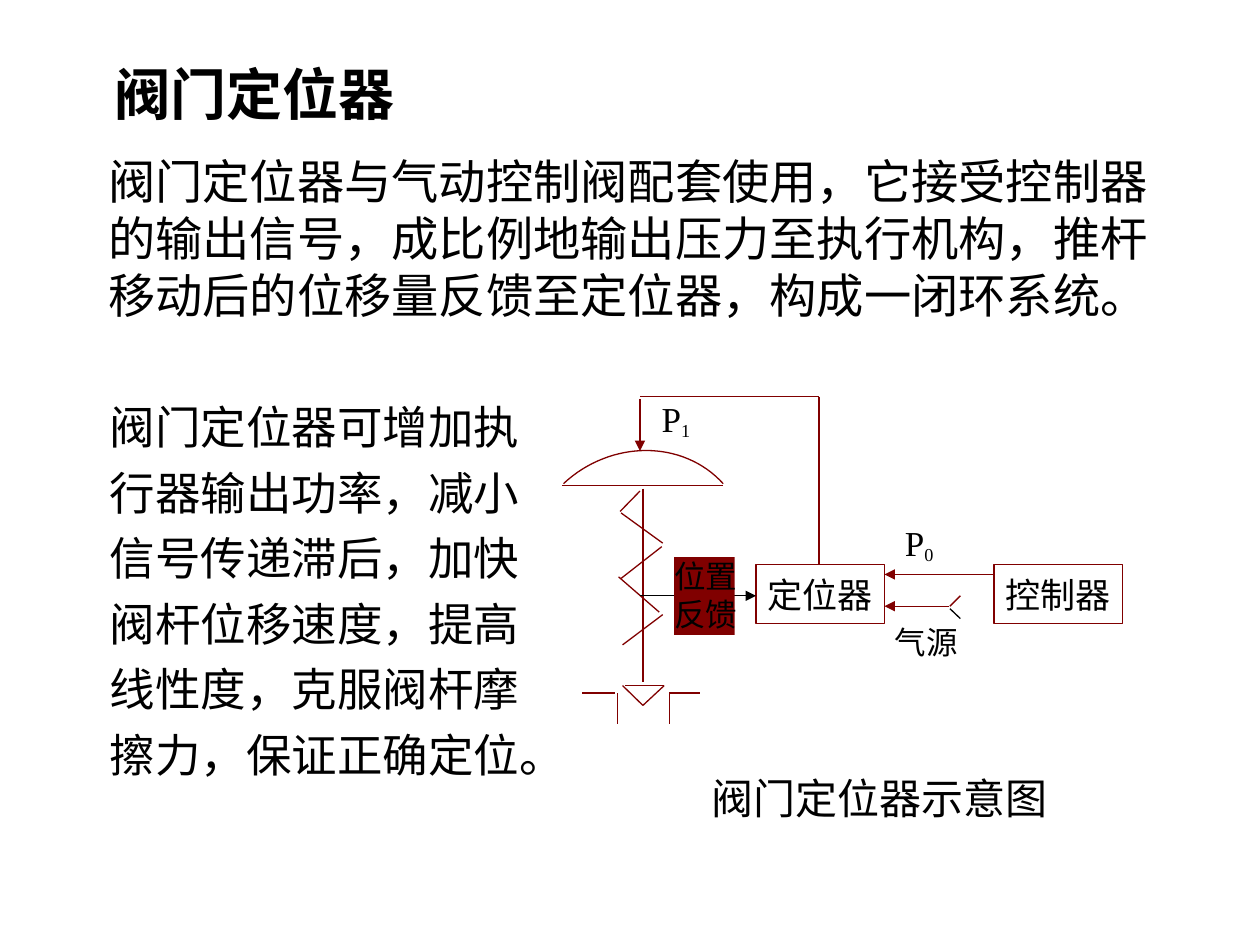
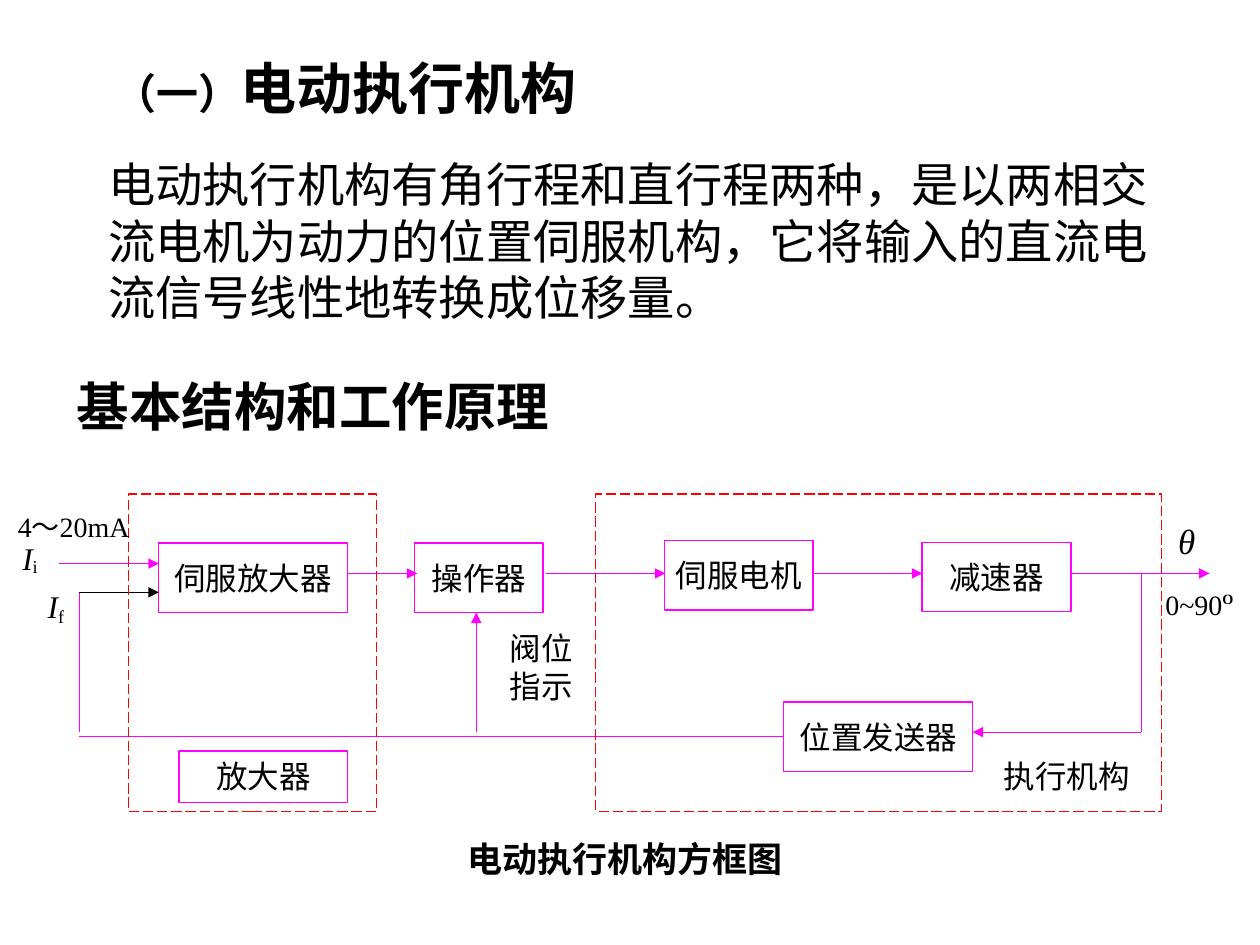
from lxml.etree import SubElement
from pptx import Presentation
from pptx.dml.color import RGBColor
from pptx.enum.dml import MSO_LINE
from pptx.enum.shapes import MSO_CONNECTOR, MSO_SHAPE
from pptx.enum.text import MSO_ANCHOR, MSO_AUTO_SIZE, PP_ALIGN
from pptx.oxml.ns import qn
from pptx.util import Cm, Pt

BLACK, MAROON, MAGENTA, RED = "000000", "800000", "FF00FF", "FF0000"
SANS, SERIF, CJK = "Arial", "Times New Roman", "Noto Sans CJK SC"
LEFT, CENTER = PP_ALIGN.LEFT, PP_ALIGN.CENTER
TOP, MIDDLE = MSO_ANCHOR.TOP, MSO_ANCHOR.MIDDLE
PADDED, TIGHT, FLUSH = (0.25, 0.13), (0, 0), (0, 0.13)
TITLE = {"size": 32, "bold": True}


def rgb(value):
    return RGBColor.from_string(value)


def add_run(p, text, size=18, name=SANS, base=0, **fmt):
    r = p.add_run()
    r.text = text
    values = {"size": Pt(size), "name": name, **fmt}
    for key, value in values.items():
        setattr(r.font, key, value)
    r.font.color.rgb = rgb(BLACK)
    rpr = r._r.get_or_add_rPr()
    if base:
        rpr.set("baseline", str(base * 1000))
    latin = rpr.find(qn("a:latin"))
    ea = rpr.makeelement(qn("a:ea"), {"typeface": CJK})
    latin.addnext(ea)


def write(sp, paragraphs, align=LEFT, anchor=TOP, inset=PADDED, wrap=True,
          leading=1.2):
    """Each paragraph is a list of (text, format) runs."""
    tf = sp.text_frame
    values = {"word_wrap": wrap, "auto_size": MSO_AUTO_SIZE.NONE,
              "vertical_anchor": anchor,
              "margin_left": Cm(inset[0]), "margin_right": Cm(inset[0]),
              "margin_top": Cm(inset[1]), "margin_bottom": Cm(inset[1])}
    for key, value in values.items():
        setattr(tf, key, value)
    for i, runs in enumerate(paragraphs):
        p = tf.add_paragraph() if i else tf.paragraphs[0]
        p.alignment = align
        p.space_before = Pt(0)
        p.line_spacing = Pt(leading * max(f.get("size", 18) for _, f in runs))
        for text, fmt in runs:
            add_run(p, text, **fmt)


def add_title(s, box, runs, wrap=True):
    sp = s.shapes.title
    for key, value in zip(("left", "top", "width", "height"), box):
        setattr(sp, key, Cm(value))
    write(sp, [runs], wrap=wrap)


def add_text(s, box, paragraphs, **layout):
    sp = s.shapes.add_textbox(*map(Cm, box))
    write(sp, paragraphs, **layout)


def style_line(sp, color, dash=None):
    sp.line.color.rgb = rgb(color)
    sp.line.width = Pt(0.75)
    if dash:
        sp.line.dash_style = dash


def add_box(s, box, line=None, fill=None, dash=None):
    sp = s.shapes.add_shape(MSO_SHAPE.RECTANGLE, *map(Cm, box))
    sp.shadow.inherit = False
    if fill:
        sp.fill.solid()
        sp.fill.fore_color.rgb = rgb(fill)
    else:
        sp.fill.background()
    if line:
        style_line(sp, line, dash)
    else:
        sp.line.fill.background()
    return sp


def add_line(s, start, end, color, arrow=False):
    sp = s.shapes.add_connector(MSO_CONNECTOR.STRAIGHT,
                                *map(Cm, (*start, *end)))
    style_line(sp, color)
    if arrow:
        SubElement(sp.line._get_or_add_ln(), qn("a:tailEnd"), type="triangle")
    SubElement(sp._element.spPr, qn("a:effectLst"))


def shifter(left, top):
    """Return a function that moves a point or box into the diagram."""
    return lambda x, y, *size: (left + x, top + y, *size)


def symbol(letter, sub, base, size=18, **fmt):
    return [[(letter, {"size": size, "name": SERIF, **fmt}),
             (sub, {"size": 18, "name": SERIF, "base": base})]]


def add_dome(s, at):
    # Diaphragm: a cubic curve above a flat base
    curve = [(0.03, 1.75), (0.99, 0.86), (2.44, 0.86), (3.25, 1.75)]
    points, steps = [], 32
    for i in range(steps + 1):
        t = i / steps
        weights = ((1 - t) ** 3, 3 * t * (1 - t) ** 2,
                   3 * t * t * (1 - t), t ** 3)
        x, y = (sum(w * c[k] for w, c in zip(weights, curve)) for k in (0, 1))
        points.append(tuple(map(Cm, at(x, y))))
    builder = s.shapes.build_freeform(*points[0])
    builder.add_line_segments(points[1:], close=False)
    sp = builder.convert_to_shape()
    sp.shadow.inherit = False
    sp.fill.background()
    style_line(sp, MAROON)


def positioner_diagram(s, left, top):
    at = shifter(left, top)
    # Positioner and controller
    for x, text in ((3.91, "定位器"), (8.71, "控制器")):
        sp = add_box(s, at(x, 3.38, 2.59, 1.19), MAROON)
        write(sp, [[(text, {"size": 20})]], CENTER, MIDDLE, TIGHT, False)
    add_dome(s, at)
    # Diaphragm base, stem, spring, plug, seat, pressure pipe, air supply
    plain = [
        ((0, 1.78), (3.25, 1.78)),
        ((1.63, 1.85), (1.63, 5.74)),
        ((1.57, 1.9), (1.17, 2.31)),
        ((1.19, 2.34), (2.03, 2.95)),
        ((2.01, 3.02), (1.19, 3.66)),
        ((1.14, 3.63), (1.96, 4.34)),
        ((2.03, 4.39), (1.22, 5)),
        ((1.27, 5.82), (2.06, 5.82)),
        ((1.22, 5.82), (1.63, 6.22)),
        ((2.06, 5.82), (1.63, 6.22)),
        ((0.41, 5.97), (1.07, 5.97)),
        ((1.12, 5.97), (1.12, 6.6)),
        ((2.16, 5.97), (2.79, 5.97)),
        ((2.16, 5.97), (2.16, 6.6)),
        ((1.57, 0), (5.18, 0)),
        ((5.18, 0), (5.18, 3.38)),
        ((8.03, 4.01), (7.82, 4.22)),
    ]
    for start, end in plain:
        add_line(s, at(*start), at(*end), MAROON)
    add_line(s, at(8.03, 4.47), at(7.82, 4.27), BLACK)
    # Signal arrows
    arrows = [
        ((8.71, 3.58), (6.5, 3.58), MAROON),
        ((7.8, 4.22), (6.5, 4.22), MAROON),
        ((1.57, 0.05), (1.57, 1.09), MAROON),
        ((1.57, 4.01), (3.91, 4.01), BLACK),
    ]
    for start, end, color in arrows:
        add_line(s, at(*start), at(*end), color, arrow=True)
    # Labels
    serif = {"name": SERIF}
    feedback = add_box(s, at(2.26, 3.23, 1.22, 1.57), fill=MAROON)
    write(feedback, [[("位置", serif)], [("反馈", serif)]],
          inset=TIGHT, wrap=False)
    labels = [
        ((6.91, 2.54, 0.91, 0.84), symbol("P", "0", -16, 20)),
        ((2.01, 0.05, 0.64, 0.84), symbol("P", "1", -16, 20)),
        ((6.71, 4.55, 1.42, 0.79), [[("气源", serif)]]),
    ]
    for box, paragraphs in labels:
        add_text(s, at(*box), paragraphs, inset=TIGHT, wrap=False)


def actuator_diagram(s, left, top):
    at = shifter(left, top)
    # Blocks
    blocks = [
        ("伺服放大器", 3.2, 0.99, 3.81),
        ("位置发送器", 15.8, 4.19, 3.81),
        ("伺服电机", 13.39, 0.94, 3),
        ("操作器", 8.36, 0.99, 2.59),
        ("减速器", 18.59, 0.97, 3),
    ]
    for text, x, y, width in blocks:
        sp = add_box(s, at(x, y, width, 1.4), MAGENTA)
        write(sp, [[(text, {})]], CENTER, MIDDLE, FLUSH, False)
    # Forward path, then feedback path
    lines = [
        ((7.01, 1.6), (8.41, 1.6), MAGENTA, True),
        ((11, 1.6), (13.41, 1.6), MAGENTA, True),
        ((16.41, 1.6), (18.59, 1.6), MAGENTA, True),
        ((21.59, 1.6), (24.38, 1.6), MAGENTA, True),
        ((1.19, 1.4), (3.2, 1.4), MAGENTA, True),
        ((23.01, 1.6), (23.01, 4.8), MAGENTA, False),
        ((23.01, 4.8), (19.61, 4.8), MAGENTA, True),
        ((15.8, 4.88), (1.6, 4.88), MAGENTA, False),
        ((9.6, 4.8), (9.6, 2.39), MAGENTA, True),
        ((1.6, 4.8), (1.6, 1.98), MAGENTA, False),
        ((1.6, 1.98), (3.2, 1.98), BLACK, True),
    ]
    for start, end, color, arrow in lines:
        add_line(s, at(*start), at(*end), color, arrow)
    # Dashed groups and their names
    for x, width in ((2.59, 5), (12.01, 11.4)):
        add_box(s, at(x, 0, width, 6.4), RED, dash=MSO_LINE.LONG_DASH)
    sp = add_box(s, at(3.61, 5.18, 3.4, 1.04), MAGENTA)
    write(sp, [[("放大器", {})]], CENTER)
    add_text(s, at(19.81, 5.18, 3.4, 1.02), [[("执行机构", {})]], align=CENTER)
    add_text(s, at(10.01, 2.59, 1.8, 1.8), [[("阀位", {})], [("指示", {})]],
             align=CENTER, anchor=MIDDLE, inset=FLUSH, wrap=False)
    # Signals
    small = {"size": 16, "name": SERIF}
    add_text(s, at(0, 0.18, 2.97, 0.94), [[("4～20mA", small)]], align=CENTER)
    add_text(s, at(0.2, 0.79, 0.99, 1.02), symbol("I", "i", -10, italic=True))
    add_text(s, at(0.71, 1.8, 0.99, 1.02), symbol("I", "f", -16, italic=True))
    add_text(s, at(23.5, 0.38, 0.99, 1.09),
             [[("θ", {"size": 20, "name": SERIF, "italic": True})]])
    degree = {"size": 14, "name": SERIF, "bold": True, "base": 46}
    add_text(s, at(23.29, 1.91, 1.78, 0.64), [[("0~90", small), ("O", degree)]],
             align=CENTER, anchor=MIDDLE, inset=TIGHT, wrap=False)


def positioner_slide(s):
    add_title(s, (2.06, 1.07, 9.14, 1.6), [("阀门定位器", TITLE)])
    add_text(s, (1.93, 2.95, 21.77, 3.68), [[(
        "阀门定位器与气动控制阀配套使用，它接受控制器的输出信号，成比例地输出压力"
        "至执行机构，推杆移动后的位移量反馈至定位器，构成一闭环系统。",
        {"size": 27, "name": CJK})]])
    positioner_diagram(s, 11.33, 8)
    add_text(s, (13.03, 15.44, 9.4, 1.27),
             [[("阀门定位器示意图", {"size": 24})]], align=CENTER)
    add_text(s, (1.96, 7.7, 9.27, 9.53), [[(
        "阀门定位器可增加执行器输出功率，减小信号传递滞后，加快阀杆位移速度，"
        "提高线性度，克服阀杆摩擦力，保证正确定位。",
        {"size": 26, "name": CJK})]], leading=1.44)


def actuator_slide(s):
    add_title(s, (2.06, 0.94, 9.86, 1.6),
              [("（一）", {"size": 24, "name": "Montserrat", "bold": True}),
               ("电动执行机构", TITLE)], wrap=False)
    add_text(s, (1.93, 3, 21.77, 3.68), [[(
        "电动执行机构有角行程和直行程两种，是以两相交流电机为动力的位置伺服机构，"
        "它将输入的直流电流信号线性地转换成位移量。", {"size": 27})]])
    add_text(s, (1.3, 7.42, 14.58, 1.52),
             [[("基本结构和工作原理", {"size": 30, "bold": True})]])
    actuator_diagram(s, 0, 9.96)
    add_text(s, (7.9, 16.76, 9.4, 1.09),
             [[("电动执行机构方框图", {"size": 20, "bold": True})]], align=CENTER)


def main():
    prs = Presentation()
    prs.slide_width, prs.slide_height = Cm(25.4), Cm(19.05)
    for build in (positioner_slide, actuator_slide):
        build(prs.slides.add_slide(prs.slide_layouts[5]))
    prs.save("out.pptx")


if __name__ == "__main__":
    main()
